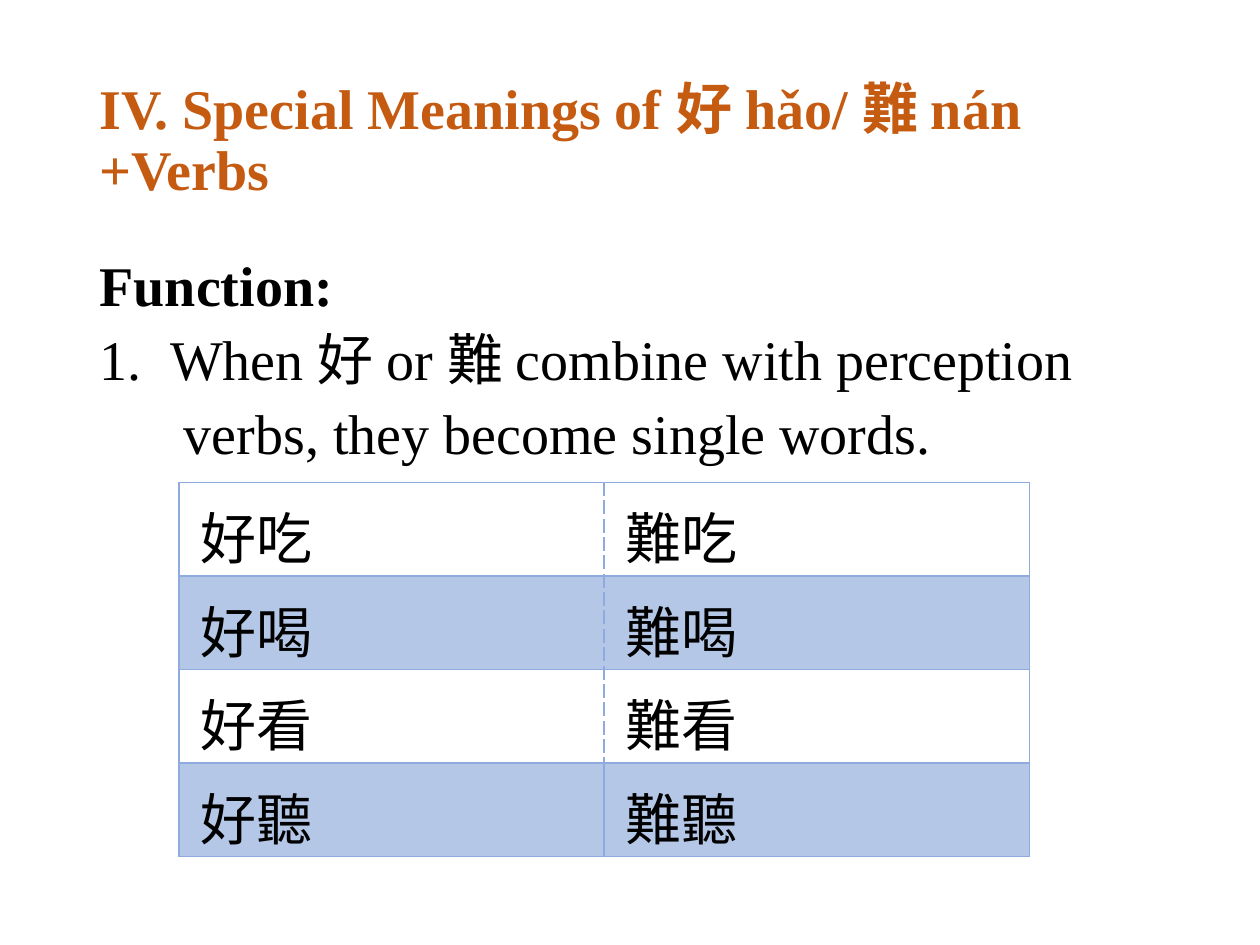
import dataclasses

import pptx
import pptx.dml.color
import pptx.enum.text
import pptx.oxml.ns
import pptx.util
from lxml import etree

Inches = pptx.util.Inches
Pt = pptx.util.Pt
Align = pptx.enum.text.PP_ALIGN
Anchor = pptx.enum.text.MSO_ANCHOR


@dataclasses.dataclass(frozen=True)
class Theme:
    latin: str = "Times New Roman"
    chinese: str = "Noto Sans CJK SC"
    size: int = 32
    heading: str = "C55A11"
    ink: str = "000000"
    border: str = "8FAADC"
    row_fills: tuple = ("FFFFFF", "B4C7E7")


def rgb(value):
    return pptx.dml.color.RGBColor.from_string(value)


def add_element(parent, tag, **attributes):
    return etree.SubElement(parent, pptx.oxml.ns.qn(tag), attributes)


class SlideBuilder:
    def __init__(self, slide, theme):
        self.slide = slide
        self.theme = theme

    def place(self, box, left, top, width, height, anchor):
        box.left, box.top = Inches(left), Inches(top)
        box.width, box.height = Inches(width), Inches(height)
        frame = box.text_frame
        frame.word_wrap = True
        frame.auto_size = pptx.enum.text.MSO_AUTO_SIZE.NONE
        frame.vertical_anchor = anchor
        return frame

    def set_text(self, para, runs, color, bold=False, align=Align.LEFT, spacing=0.9):
        """Fill a paragraph with runs; those holding Chinese get its font."""
        para.alignment = align
        para.line_spacing = spacing
        para.font.size = Pt(self.theme.size)
        para.font.bold = bold
        para.font.color.rgb = rgb(color)
        for text in runs:
            span = para.add_run()
            span.text = text
            is_chinese = any(ord(letter) >= 0x4E00 for letter in text)
            span.font.name = self.theme.chinese if is_chinese else self.theme.latin
            if is_chinese:
                add_element(span.font._element, "a:ea", typeface=self.theme.chinese)

    def title(self, runs, *position):
        frame = self.place(self.slide.shapes.title, *position, Anchor.MIDDLE)
        self.set_text(frame.paragraphs[0], runs, self.theme.heading, bold=True)

    def body(self, items, *position):
        """Each item is (runs, bold, left indent, hanging indent, numbered)."""
        frame = self.place(self.slide.placeholders[1], *position, Anchor.TOP)
        for index, (runs, bold, left, hanging, numbered) in enumerate(items):
            para = frame.paragraphs[0] if index == 0 else frame.add_paragraph()
            para.space_before = Pt(7.5 if index else 0)
            para.space_after = Pt(0)
            properties = para._p.get_or_add_pPr()
            properties.set("marL", str(Inches(left)))
            properties.set("indent", str(Inches(-hanging)))
            if numbered:
                add_element(properties, "a:buFont", typeface=self.theme.latin)
                add_element(properties, "a:buAutoNum", type="arabicPeriod")
            else:
                add_element(properties, "a:buNone")
            self.set_text(para, runs, self.theme.ink, bold)

    def border(self, cell, side, dash):
        line = add_element(cell._tc.get_or_add_tcPr(), f"a:ln{side}", w=str(Pt(1)))
        fill = add_element(line, "a:solidFill")
        add_element(fill, "a:srgbClr", val=self.theme.border)
        add_element(line, "a:prstDash", val=dash)

    def table(self, rows, left, top, width, row_height):
        columns = len(rows[0])
        frame = self.slide.shapes.add_table(
            len(rows), columns, Inches(left), Inches(top),
            Inches(width), Inches(row_height * len(rows)))
        grid = frame.table
        grid.first_row = grid.horz_banding = False
        for r, words in enumerate(rows):
            # The inner divider is dashed, except in the last row
            inner = "solid" if r == len(rows) - 1 else "sysDash"
            for c, word in enumerate(words):
                cell = grid.cell(r, c)
                cell.margin_left, cell.margin_right = Inches(0.17), Inches(0.07)
                cell.margin_top = cell.margin_bottom = 0
                self.border(cell, "L", inner if c else "solid")
                self.border(cell, "R", inner if c < columns - 1 else "solid")
                self.border(cell, "T", "solid")
                self.border(cell, "B", "solid")
                cell.fill.solid()
                cell.fill.fore_color.rgb = rgb(self.theme.row_fills[r % 2])
                self.set_text(cell.text_frame.paragraphs[0], [word], self.theme.ink,
                              align=Align.JUSTIFY, spacing=1.15)


def main():
    deck = pptx.Presentation()
    deck.slide_width, deck.slide_height = Inches(10), Inches(7.5)
    page = deck.slides.add_slide(deck.slide_layouts[1])
    builder = SlideBuilder(page, Theme())

    # Heading
    builder.title(["IV. Special Meanings of ", "好 ", "hǎo/ ", "難 ", "nán +Verbs"],
                  0.69, 0.4, 8.62, 1.45)

    # Explanation
    builder.body([
        (["Function:"], True, 0, 0, False),
        (["When ", "好 ", "or ", "難 ", "combine with perception"],
         False, 0.56, 0.56, True),
        (["verbs, they become single words."], False, 0.67, 0, False),
    ], 0.69, 2, 8.62, 4.76)

    # Word pairs: easy or pleasant against hard or unpleasant
    builder.table([[prefix + verb for prefix in "好難"] for verb in "吃喝看聽"],
                  1.42, 3.83, 6.75, 0.74)

    deck.save("out.pptx")


if __name__ == "__main__":
    main()
